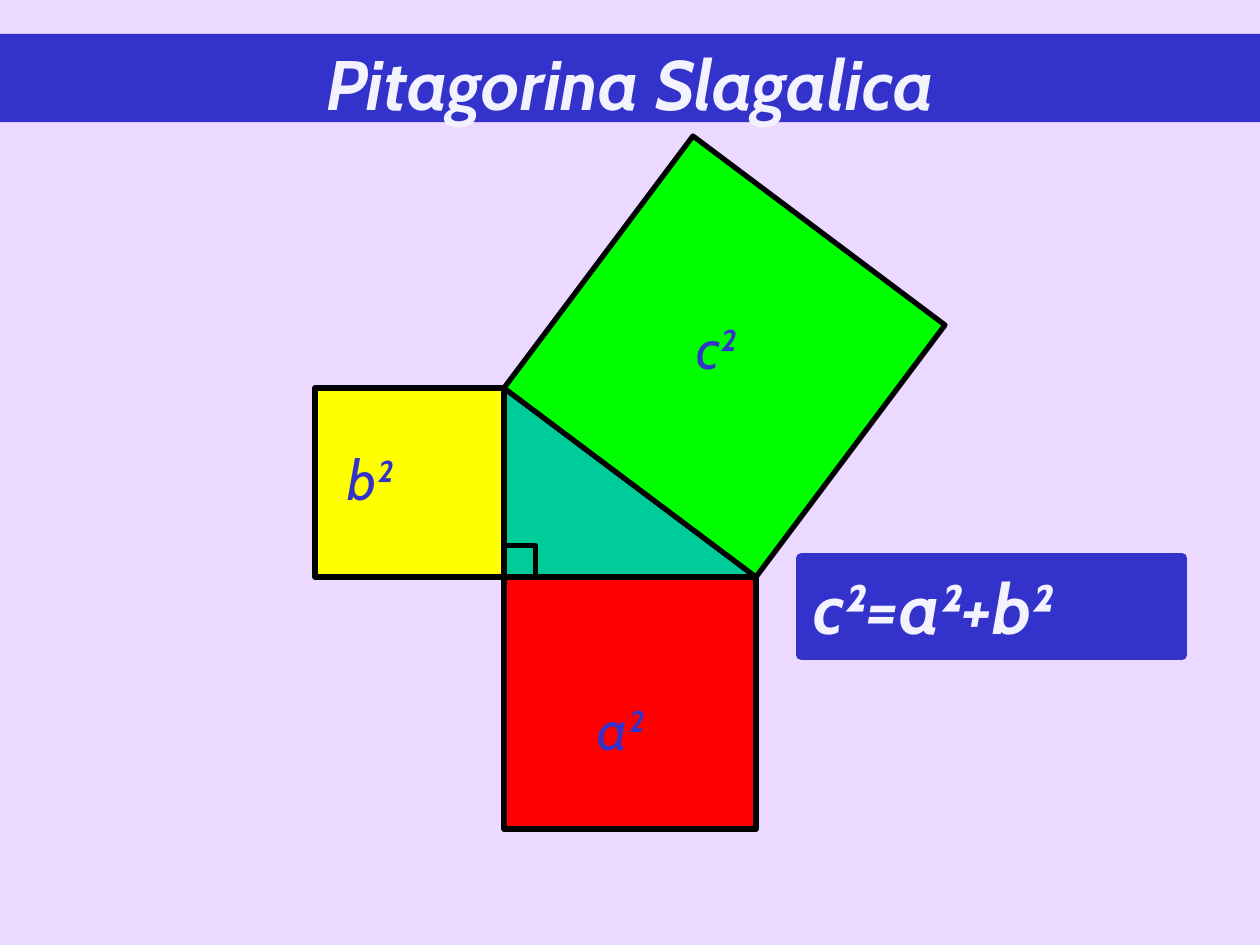
from pptx import Presentation
from pptx.dml.color import RGBColor as Rgb
from pptx.enum.shapes import MSO_SHAPE as Kind
from pptx.enum.text import MSO_ANCHOR as Anchor, MSO_AUTO_SIZE as Auto, PP_ALIGN as Align
from pptx.util import Inches, Pt

INK = {
    "back": "ECD9FF", "blue": "3333CC", "pale": "F3F3FF", "black": "000000",
    "teal": "00CC99", "green": "00FF00", "yellow": "FFFF00", "red": "FF0000",
}
CELL, TOP = 0.5, 0.08


def paint(shape, fill, line=None, width=3):
    shape.shadow.inherit = False
    shape.fill.solid()
    shape.fill.fore_color.rgb = Rgb.from_string(INK[fill])
    if line:
        shape.line.color.rgb = Rgb.from_string(INK[line])
        shape.line.width = Pt(width)
    else:
        shape.line.fill.background()


def write(shape, text, size, ink, bold, align=Align.LEFT):
    frame = shape.text_frame
    frame.vertical_anchor = Anchor.TOP
    para = frame.paragraphs[0]
    para.alignment = align
    run = para.add_run()
    run.text = text
    font = run.font
    font.name, font.size = "Cabin", Pt(size)
    font.bold, font.italic = bold, True
    font.color.rgb = Rgb.from_string(INK[ink])
    return frame


deck = Presentation()
deck.slide_width, deck.slide_height = Inches(10), Inches(7.5)
slide = deck.slides.add_slide(deck.slide_layouts[6])
slide.background.fill.solid()
slide.background.fill.fore_color.rgb = Rgb.from_string(INK["back"])
shapes = slide.shapes

side = [(8, 6), (11, 2), (15, 5), (12, 9)]
dots = [(Inches(col * CELL), Inches(TOP + row * CELL)) for col, row in side]
parts = [
    (Kind.RIGHT_TRIANGLE, 8, 6, 4, 3, "teal"),
    (Kind.RECTANGLE, 8, 8.5, 0.5, 0.5, "teal"),
    (Kind.RECTANGLE, 5, 6, 3, 3, "yellow"),
    (Kind.RECTANGLE, 8, 9, 4, 4, "red"),
]
for kind, col, row, wide, high, fill in parts:
    part = shapes.add_shape(kind, Inches(col * CELL), Inches(TOP + row * CELL),
                            Inches(wide * CELL), Inches(high * CELL))
    paint(part, fill, "black")
    if kind == Kind.RIGHT_TRIANGLE:
        path = shapes.build_freeform(*dots[0], scale=1.0)
        path.add_line_segments(dots[1:], close=True)
        paint(path.convert_to_shape(), "green", "black")

band = shapes.add_shape(Kind.RECTANGLE, 0, Inches(0.27), deck.slide_width, Inches(0.7))
paint(band, "blue")
write(band, "Pitagorina Slagalica", 40, "pale", True, Align.CENTER)

for text, left, top in [("c²", 5.43, 2.44), ("b²", 2.66, 3.48), ("a²", 4.64, 5.46)]:
    label = shapes.add_textbox(Inches(left), Inches(top), Inches(0.65), Inches(0.64))
    frame = write(label, text, 32, "blue", False)
    frame.word_wrap = False
    frame.auto_size = Auto.SHAPE_TO_FIT_TEXT

rule = shapes.add_shape(Kind.RECTANGLE, Inches(6.36), Inches(4.43), Inches(3.02), Inches(0.77))
paint(rule, "blue", "blue", 6)
write(rule, "c²=a²+b²", 40, "pale", True)

deck.save("out.pptx")
